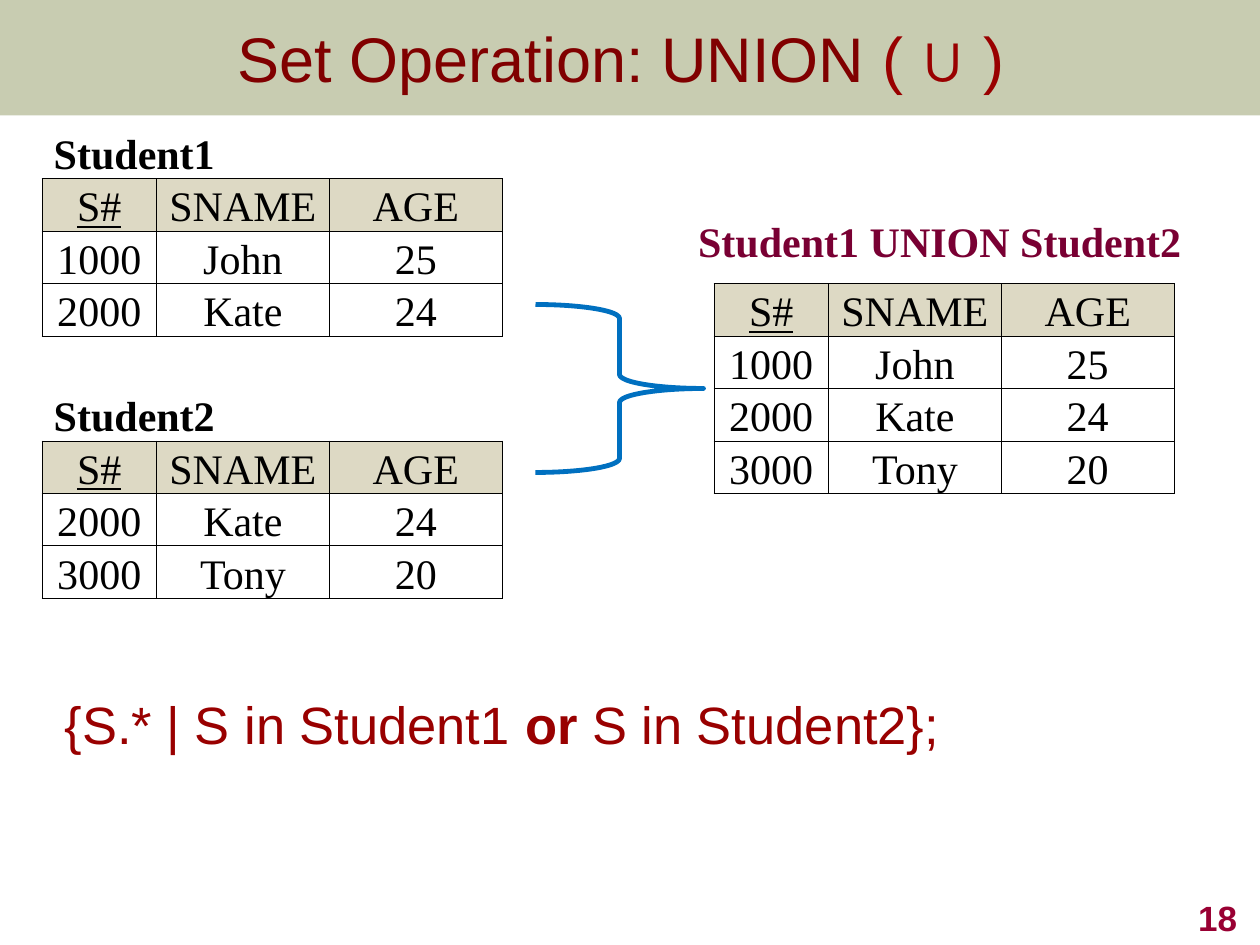
from lxml import etree
from pptx import Presentation
from pptx import util as u
from pptx.dml import color
from pptx.enum import shapes, text
from pptx.oxml import ns

Pt = u.Pt
SANS, SERIF = "Arial", "Times New Roman"
HEADER_FILL, WHITE = "DDD9C4", "FFFFFF"
COLUMN_WIDTHS = (65.4, 98.8, 98.8)
ROW_HEIGHT = 30
SIDES = ("L", "R", "T", "B")
FIELDS = ("S#", "SNAME", "AGE")
JOHN, KATE, TONY = ("1000", "John", "25"), ("2000", "Kate", "24"), ("3000", "Tony", "20")


def rgb(value):
    return color.RGBColor.from_string(value)


def add_run(paragraph, words, size=24, font=SERIF, ink="000000", bold=False, underline=False):
    run = paragraph.add_run()
    run.text = words
    run.font.size, run.font.name = Pt(size), font
    run.font.color.rgb = rgb(ink)
    run.font.bold, run.font.underline = bold, underline


def add_text(slide, box, runs, align="LEFT", anchor="TOP", wrap=True, right_inset=7.2, spacing=1.0):
    frame = slide.shapes.add_textbox(*map(Pt, box)).text_frame
    frame.word_wrap = wrap
    frame.margin_right = Pt(right_inset)
    frame.vertical_anchor = text.MSO_ANCHOR[anchor]
    paragraph = frame.paragraphs[0]
    paragraph.alignment = text.PP_ALIGN[align]
    paragraph.line_spacing = spacing
    for words, style in runs:
        add_run(paragraph, words, **style)


def set_borders(cell, lined):
    properties = cell._tc.get_or_add_tcPr()
    for side in SIDES:
        line = etree.SubElement(properties, ns.qn(f"a:ln{side}"), w=str(Pt(0.5)))
        if side in lined:
            fill = etree.SubElement(line, ns.qn("a:solidFill"))
            etree.SubElement(fill, ns.qn("a:srgbClr"), val="000000")
        else:
            etree.SubElement(line, ns.qn("a:noFill"))


def add_relation(slide, left, top, rows):
    """Rows are the field names, a record, a one-item label or an empty gap."""
    table = slide.shapes.add_table(
        len(rows), len(COLUMN_WIDTHS), Pt(left), Pt(top),
        Pt(sum(COLUMN_WIDTHS)), Pt(ROW_HEIGHT * len(rows))).table
    table.first_row = table.horz_banding = False
    for column, width in zip(table.columns, COLUMN_WIDTHS):
        column.width = Pt(width)
    for row_index, row in enumerate(rows):
        table.rows[row_index].height = Pt(ROW_HEIGHT)
        lined = {0: "T", 1: "B"}.get(len(row), SIDES)
        for column_index in range(len(COLUMN_WIDTHS)):
            cell = table.cell(row_index, column_index)
            cell.margin_left = cell.margin_right = cell.margin_top = Pt(0.7)
            cell.margin_bottom = 0
            cell.vertical_anchor = text.MSO_ANCHOR.BOTTOM
            set_borders(cell, lined)
            cell.fill.solid()
            cell.fill.fore_color.rgb = rgb(HEADER_FILL if row == FIELDS else WHITE)
            if column_index < len(row):
                paragraph = cell.text_frame.paragraphs[0]
                if len(row) > 1:
                    paragraph.alignment = text.PP_ALIGN.CENTER
                words = row[column_index]
                add_run(paragraph, words, bold=len(row) == 1, underline=words == "S#")
        if len(row) == 1:
            table.cell(row_index, 0).margin_left = Pt(6.7)
            table.cell(row_index, 0).merge(table.cell(row_index, 1))


def add_title(slide, box):
    # Translucent band
    band = slide.shapes.add_shape(shapes.MSO_SHAPE.RECTANGLE, *map(Pt, box))
    band.shadow.inherit = False
    band.line.fill.background()
    band.fill.solid()
    band.fill.fore_color.rgb = rgb("677228")
    band_color = band._element.spPr.find(".//" + ns.qn("a:srgbClr"))
    etree.SubElement(band_color, ns.qn("a:alpha"), val="36000")
    # Title text
    base = dict(size=36, font=SANS)
    red = dict(base, ink="990000")
    add_text(slide, box, [
        ("Set Operation: UNION ", dict(base, ink="800000")),
        ("( ", red), ("∪", dict(red, bold=True)), (" ) ", red),
    ], align="CENTER", anchor="MIDDLE")


def add_brace(slide, box):
    brace = slide.shapes.add_shape(shapes.MSO_SHAPE.RIGHT_BRACE, *map(Pt, box))
    brace.shadow.inherit = False
    brace.fill.background()
    brace.line.color.rgb = rgb("0070C0")
    brace.line.width = Pt(2.75)


def add_formula(slide, box):
    style = dict(size=30, font=SANS, ink="990000")
    add_text(slide, box, [
        ("{S.* | S in Student1 ", style),
        ("or ", dict(style, bold=True)),
        ("S in Student2};", style),
    ], right_inset=0, spacing=0.9)


def main():
    presentation = Presentation()
    presentation.slide_width, presentation.slide_height = Pt(720), Pt(540)
    slide = presentation.slides.add_slide(presentation.slide_layouts[6])

    add_title(slide, (0, 0, 720, 66))
    add_formula(slide, (30, 396, 570, 54))
    # Page number
    add_text(slide, (564, 504, 150, 36),
             [("18", dict(size=20, font=SANS, ink="990033", bold=True))],
             align="RIGHT", anchor="BOTTOM")
    add_brace(slide, (306, 174, 96, 96))
    # Source relations and their union
    add_relation(slide, 24, 72, [
        ("Student1",), FIELDS, JOHN, KATE, (),
        ("Student2",), FIELDS, KATE, TONY])
    add_relation(slide, 408, 162, [FIELDS, JOHN, KATE, TONY])
    add_text(slide, (390, 119.5, 294, 36),
             [("Student1 UNION Student2", dict(ink="790033", bold=True))],
             align="CENTER", wrap=False)

    presentation.save("out.pptx")


if __name__ == "__main__":
    main()
